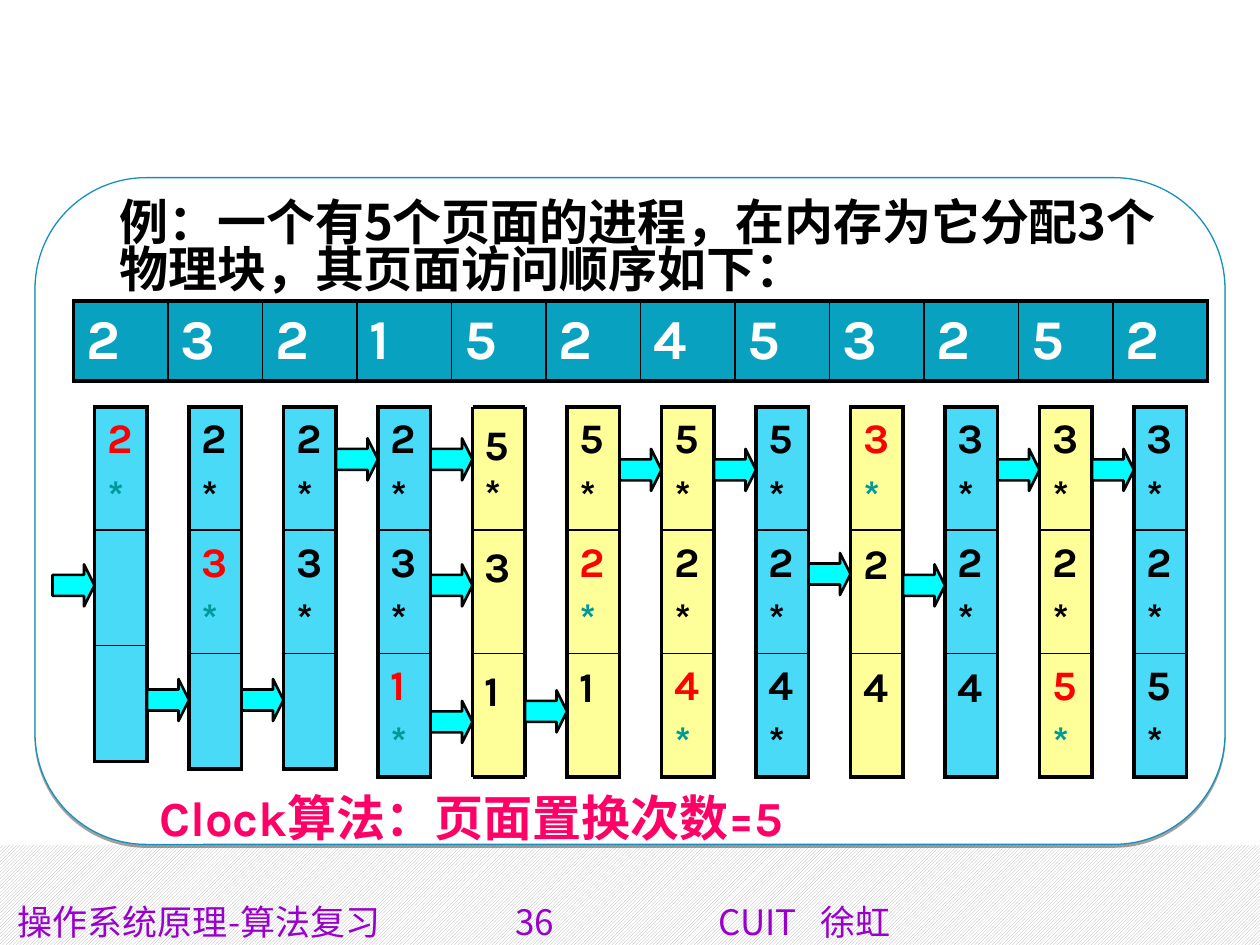
from lxml import etree
from pptx import Presentation
from pptx.dml.color import RGBColor
from pptx.enum.dml import MSO_PATTERN
from pptx.enum.shapes import MSO_CONNECTOR, MSO_SHAPE
from pptx.enum.text import MSO_ANCHOR, MSO_AUTO_SIZE, PP_ALIGN
from pptx.oxml.ns import qn
from pptx.util import Pt

RECT, ROUND, ARROW = MSO_SHAPE.RECTANGLE, MSO_SHAPE.ROUNDED_RECTANGLE, MSO_SHAPE.RIGHT_ARROW
STRAIGHT = MSO_CONNECTOR.STRAIGHT
TOP, MIDDLE, BOTTOM = MSO_ANCHOR.TOP, MSO_ANCHOR.MIDDLE, MSO_ANCHOR.BOTTOM
LEFT, NO_FIT = PP_ALIGN.LEFT, MSO_AUTO_SIZE.NONE
HATCH = MSO_PATTERN.DARK_UPWARD_DIAGONAL

KARLA, NOTO = "Karla", "Noto Sans CJK SC"
BLACK, WHITE, RED, TEAL = "000000", "FFFFFF", "FF0000", "009999"
BLUE, YELLOW = "49DAF7", "FFFF99"
THICK, THIN = 2.25, 1


def color(value):
    return RGBColor.from_string(value)


def add_xml(parent, tag, **attributes):
    return etree.SubElement(parent, qn(tag), {key: str(value) for key, value in attributes.items()})


def write(para, text, font=KARLA, size=24, ink=BLACK, bold=True, before=0):
    para.alignment = LEFT
    if before:
        para.space_before = Pt(before)
    span = para.add_run()
    span.text = text
    span.font.name, span.font.size, span.font.bold = font, Pt(size), bold
    span.font.color.rgb = color(ink)
    add_xml(span.font._element, "a:ea", typeface=NOTO)


class SlideBuilder:
    def __init__(self, page):
        self.page = page
        self.shapes = page.shapes

    def shape(self, kind, left, top, width, height, fill=None, line=None, weight=1):
        box = self.shapes.add_shape(kind, Pt(left), Pt(top), Pt(width), Pt(height))
        box.shadow.inherit = False
        if fill:
            box.fill.solid()
            box.fill.fore_color.rgb = color(fill)
        if line:
            box.line.color.rgb = color(line)
            box.line.width = Pt(weight)
        else:
            box.line.fill.background()
        return box

    def hatched_band(self, left, top, width, height):
        band = self.shape(RECT, left, top, width, height)
        band.fill.patterned()
        band.fill.pattern = HATCH
        band.fill.fore_color.rgb = color("B2B2B2")
        band.fill.back_color.rgb = color(WHITE)

    def panel(self, left, top, width, height):
        panel = self.shape(ROUND, left, top, width, height, WHITE, "1790BB", 0.75)
        effects = panel.element.spPr.find(qn("a:effectLst"))
        shadow = add_xml(effects, "a:outerShdw", dist=Pt(1.6), dir=5400000, rotWithShape=0)
        add_xml(add_xml(shadow, "a:srgbClr", val=BLACK), "a:alpha", val=37000)

    def title(self, text, left, top, width, height, **style):
        title = self.shapes.title
        title.left, title.top, title.width, title.height = Pt(left), Pt(top), Pt(width), Pt(height)
        title.element.getparent().append(title.element)  # bring in front of the panel
        frame = title.text_frame
        frame.auto_size, frame.vertical_anchor = NO_FIT, BOTTOM
        frame.paragraphs[0].line_spacing = 0.8
        write(frame.paragraphs[0], text, **style)

    def text(self, text, left, top, width, height, tabs=(), **style):
        box = self.shapes.add_textbox(Pt(left), Pt(top), Pt(width), Pt(height))
        box.text_frame.word_wrap = True
        para = box.text_frame.paragraphs[0]
        if tabs:
            stops = add_xml(para._p.get_or_add_pPr(), "a:tabLst")
            for position in tabs:
                add_xml(stops, "a:tab", pos=Pt(position), algn="l")
        write(para, text, **style)

    def arrow(self, left, top):
        arrow = self.shape(ARROW, left, top, 24, 24, "00FFFF", BLACK, 1.5)
        arrow.adjustments[0], arrow.adjustments[1] = 0.5, 0.25

    def line(self, x1, y1, x2, y2, weight):
        line = self.shapes.add_connector(STRAIGHT, Pt(x1), Pt(y1), Pt(x2), Pt(y2))
        line.line.color.rgb = color(BLACK)
        line.line.width = Pt(weight)
        add_xml(line.element.spPr, "a:effectLst")

    def table(self, left, top, width, heights, columns=1):
        """Add a table with thick outer and thin inner borders."""
        rows = len(heights)
        frame = self.shapes.add_table(rows, columns, Pt(left), Pt(top),
                                      Pt(width * columns), Pt(sum(heights)))
        table = frame.table
        table.first_row = table.horz_banding = False
        for column in table.columns:
            column.width = Pt(width)
        for r, height in enumerate(heights):
            table.rows[r].height = Pt(height)
            for c in range(columns):
                outer = {"L": c == 0, "R": c == columns - 1, "T": r == 0, "B": r == rows - 1}
                for side, thick in outer.items():
                    border = add_xml(table.cell(r, c)._tc.get_or_add_tcPr(), f"a:ln{side}",
                                     w=Pt(THICK if thick else THIN))
                    add_xml(add_xml(border, "a:solidFill"), "a:srgbClr", val=BLACK)
        return table

    def cell(self, cell, lines, fill, anchor=MIDDLE):
        """Fill a cell with one paragraph for each (text, style) pair."""
        cell.fill.solid()
        cell.fill.fore_color.rgb = color(fill)
        cell.vertical_anchor = anchor
        if anchor == TOP:
            cell.margin_top = Pt(6)
        for i, (text, style) in enumerate(lines):
            para = cell.text_frame.add_paragraph() if i else cell.text_frame.paragraphs[0]
            write(para, text, before=4.8 if i else 0, **style)

    def frames(self, left, top, heights, pages, loaded, fill):
        """Show the memory frames after one access; the loaded one is in red."""
        table = self.table(left, top, 30, heights)
        for i, mark in enumerate(pages):
            inks = (RED, TEAL) if i == loaded else (BLACK, BLACK)
            lines = [(sign, {"ink": ink}) for sign, ink in zip(mark, inks)]
            self.cell(table.cell(i, 0), lines, fill, TOP if len(lines) == 1 else MIDDLE)

    def drawn_frames(self, left, top, height, pages, fill):
        """Show the memory frames as separate rectangles with ruled edges."""
        right, bottom = left + 30, top + height * len(pages)
        for i, mark in enumerate(pages):
            box = self.shape(RECT, left, top + i * height, 30, height, fill)
            frame = box.text_frame
            frame.word_wrap = True
            frame.vertical_anchor = MIDDLE if len(mark) > 1 else TOP
            frame.margin_top = Pt(3.6 if len(mark) > 1 else 6)
            write(frame.paragraphs[0], " ".join(mark))
        for i in range(len(pages) + 1):
            y = top + i * height
            self.line(left, y, right, y, THICK if i in (0, len(pages)) else THIN)
        for x in (left, right):
            self.line(x, top, x, bottom, THICK)


ACCESSES = "232152453252"
PITCH, FRAMES_TOP, ROW, SHORT = 54, 232.5, 70.5, 66
# pages in the three frames, index of the loaded frame, fill, tops of the arrows on the left
STEPS = [
    (("2*", "", ""), 0, BLUE, [322.5]),
    (("2*", "3*", ""), 1, BLUE, [388]),
    (("2*", "3*", ""), None, BLUE, [388]),
    (("2*", "3*", "1*"), 2, BLUE, [250.5]),
    (("5*", "3", "1"), None, YELLOW, [250.5, 322.5, 400.5]),
    (("5*", "2*", "1"), 1, YELLOW, [394.5]),
    (("5*", "2*", "4*"), 2, YELLOW, [256.5]),
    (("5*", "2*", "4*"), None, BLUE, [256.5]),
    (("3*", "2", "4"), 0, YELLOW, [316]),
    (("3*", "2*", "4"), None, BLUE, [322.5]),
    (("3*", "2*", "5*"), 2, YELLOW, [256.5]),
    (("3*", "2*", "5*"), None, BLUE, [256.5]),
]
DRAWN_STEP = 4


def main():
    deck = Presentation()
    deck.slide_width, deck.slide_height = Pt(720), Pt(540)
    slide = SlideBuilder(deck.slides.add_slide(deck.slide_layouts[5]))

    # Backdrop and footer
    slide.hatched_band(0, 483, 720, 57)
    slide.panel(20, 101.5, 680, 381)
    slide.text("操作系统原理-算法复习\t36\tCUIT\t徐虹", 3, 511, 720, 29, tabs=(284.5, 400.5, 459),
               font=NOTO, size=20, ink="9900CC", bold=False)

    # Task and result
    slide.title("例：一个有5个页面的进程，在内存为它分配3个物理块，其页面访问顺序如下：",
                61, 108, 613.5, 65.5, font=NOTO, size=28)
    slide.text("Clock算法：页面置换次数=5", 84, 446.5, 594, 41, size=28, ink="FF0066")

    # Access sequence
    sequence = slide.table(42, 172, PITCH, [45.5], len(ACCESSES))
    for i, number in enumerate(ACCESSES):
        slide.cell(sequence.cell(0, i), [(number, {"size": 32, "ink": WHITE})], "08A1C0")

    # Memory frames after each access, with the clock hand
    for i, (pages, loaded, fill, arrow_tops) in enumerate(STEPS):
        left = PITCH * (i + 1)
        if i == DRAWN_STEP:
            slide.drawn_frames(left, FRAMES_TOP, ROW, pages, fill)
        else:
            heights = [ROW if mark else SHORT for mark in pages]
            slide.frames(left, FRAMES_TOP, heights, pages, loaded, fill)
        for top in arrow_tops:
            slide.arrow(left - 24, top)

    deck.save("out.pptx")


if __name__ == "__main__":
    main()
